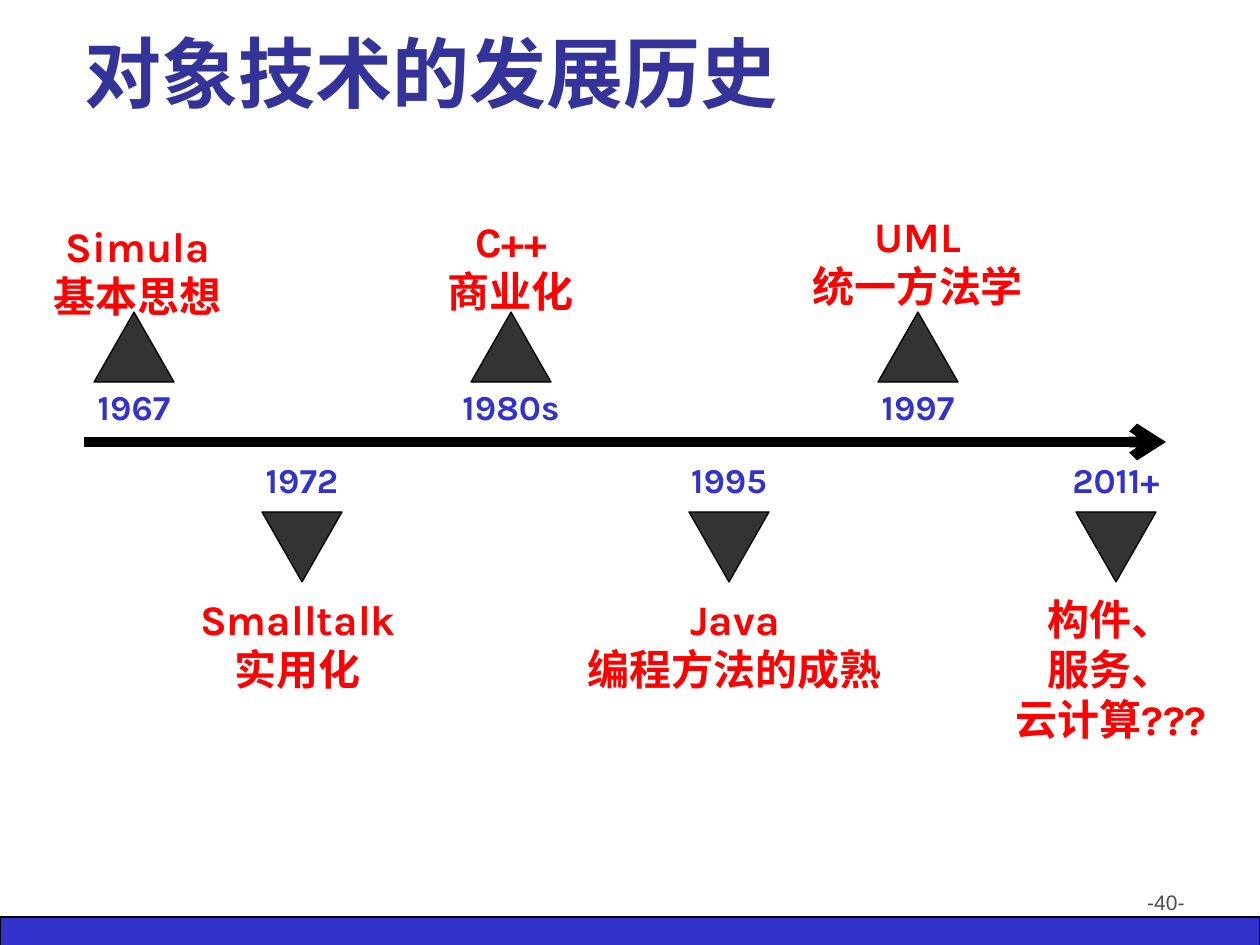
from dataclasses import dataclass

from pptx import Presentation
from pptx import util as u
from pptx.dml.color import RGBColor
from pptx.enum import shapes, text
from pptx.oxml.ns import qn
from lxml import etree

PX = 914400 / 126  # EMU in one px


@dataclass(frozen=True)
class Theme:
    font: str = "Karla"
    small_font: str = "Arial"
    title: str = "333399"
    accent: str = "3333CC"
    label: str = "FF0000"
    marker: str = "333333"
    number: str = "4D4D4D"
    line: str = "000000"
    title_size: int = 44
    label_size: int = 24
    date_size: int = 20
    number_size: int = 12


T = Theme()
ALIGN = text.PP_ALIGN

# date, label, centre of marker, label shift, label width, label top, label height
MILESTONES = [
    ("1967", "Simula基本思想", 134, 4, 208, 214, 113),
    ("1972", "Smalltalk实用化", 302, -4, 228, 587, 113),
    ("1980s", "C++\n商业化", 511, 0, 179, 209, 113),
    ("1995", "Java\n编程方法的成熟", 729, 6, 328, 587, 113),
    ("1997", "UML\n统一方法学", 918, 0, 258, 204, 113),
    ("2011+", "构件、\n服务、\n云计算???", 1116, -5, 228, 587, 164),
]


def px(*values):
    return [u.Emu(round(v * PX)) for v in values]


def write(sp, content, size, color, align, font=T.font, bold=True,
          anchor=text.MSO_ANCHOR.TOP):
    tf = sp.text_frame
    frame = dict(word_wrap=True, auto_size=text.MSO_AUTO_SIZE.NONE,
                 vertical_anchor=anchor, margin_left=u.Inches(0.1),
                 margin_right=u.Inches(0.1), margin_top=u.Inches(0.05),
                 margin_bottom=u.Inches(0.05))
    for name, value in frame.items():
        setattr(tf, name, value)
    p = tf.paragraphs[0]
    p.alignment = align
    for i, line in enumerate(content.split("\n")):
        if i:
            p.add_line_break()
        r = p.add_run()
        r.text = line
        for name, value in dict(name=font, size=u.Pt(size), bold=bold).items():
            setattr(r.font, name, value)
        r.font.color.rgb = RGBColor.from_string(color)


def add_text(s, box, *args, **kwargs):
    write(s.shapes.add_textbox(*px(*box)), *args, **kwargs)


def add_block(s, kind, box, fill):
    sp = s.shapes.add_shape(kind, *px(*box))
    sp.shadow.inherit = False
    sp.fill.solid()
    sp.fill.fore_color.rgb = RGBColor.from_string(fill)
    sp.line.color.rgb = RGBColor.from_string(T.line)
    sp.line.width = u.Pt(0.75)
    return sp


def add_footer(s, x, y, w, h):
    add_block(s, shapes.MSO_SHAPE.RECTANGLE, (x, y, w, h), T.accent)
    add_text(s, (x + w - 357, y - 34, 294, 66), "-40-", T.number_size, T.number,
             ALIGN.RIGHT, font=T.small_font, bold=False)


def add_title(s, *box):
    sp = s.shapes.title
    sp.left, sp.top, sp.width, sp.height = px(*box)
    write(sp, "对象技术的发展历史", T.title_size, T.title, ALIGN.LEFT,
          anchor=text.MSO_ANCHOR.BOTTOM)


def add_axis(s, x, y, w):
    sp = s.shapes.add_connector(shapes.MSO_CONNECTOR.STRAIGHT, *px(x, y, x + w, y))
    sp.line.color.rgb = RGBColor.from_string(T.line)
    sp.line.width = u.Pt(6)
    etree.SubElement(sp.line._get_or_add_ln(), qn("a:tailEnd"), type="arrow")
    etree.SubElement(sp._element.spPr, qn("a:effectLst"))


def add_milestone(s, axis_y, above, date, label, cx, shift, w, top, h):
    """Place a marker, date and label around cx, above or below the axis."""
    marker_y, date_y = (-130, -63) if above else (70, 10)
    sp = add_block(s, shapes.MSO_SHAPE.ISOSCELES_TRIANGLE,
                   (cx - 40, axis_y + marker_y, 80, 70), T.marker)
    sp.rotation = 0 if above else 180
    add_text(s, (cx - 90, axis_y + date_y, 180, 55), date, T.date_size,
             T.accent, ALIGN.CENTER)
    add_text(s, (cx + shift - w / 2, top, w, h), label, T.label_size,
             T.label, ALIGN.CENTER)


def add_timeline(s, x, y, w):
    add_axis(s, x, y, w)
    for i, milestone in enumerate(MILESTONES):
        add_milestone(s, y, i % 2 == 0, *milestone)


def main():
    prs = Presentation()
    prs.slide_width, prs.slide_height = px(1260, 945)
    s = prs.slides.add_slide(prs.slide_layouts[5])
    add_footer(s, 0, 917, 1260, 31)
    add_title(s, 72, 35, 1094, 89)
    add_timeline(s, 84, 442, 1082)
    prs.save("out.pptx")


if __name__ == "__main__":
    main()
